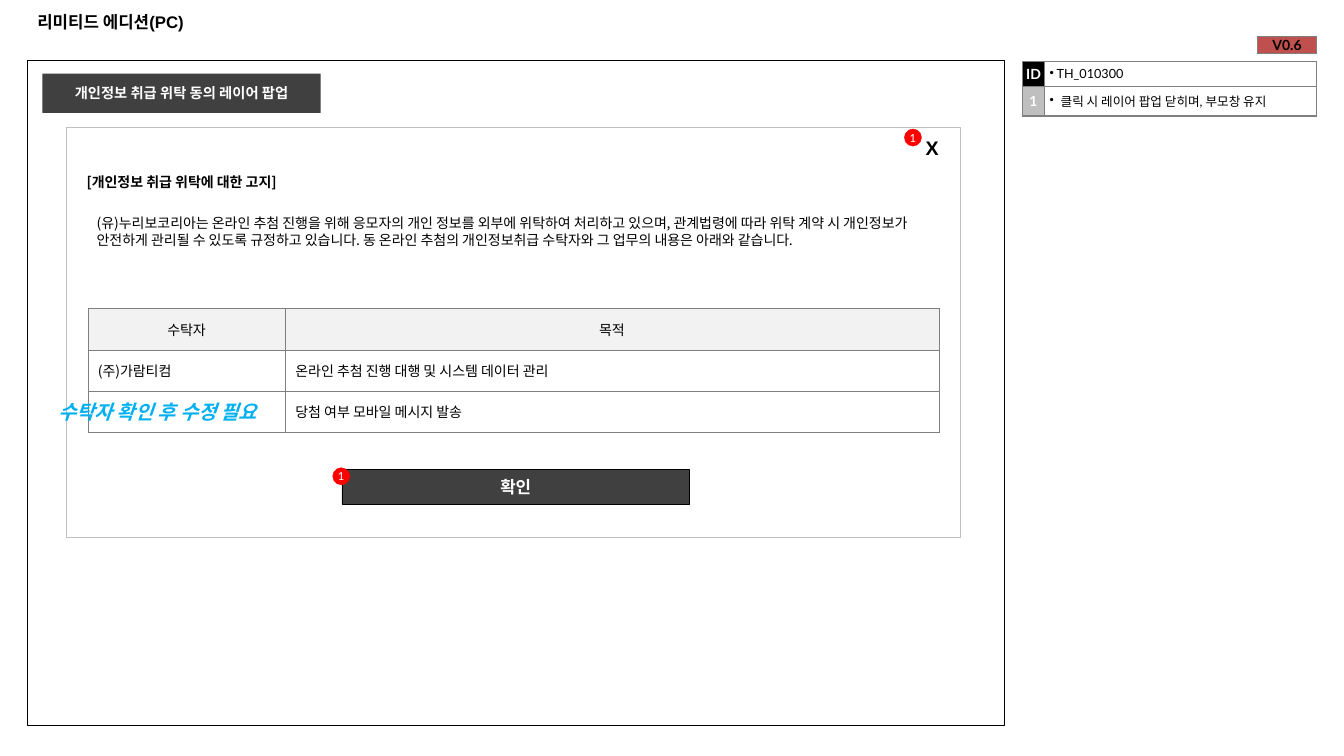
from lxml import etree
from pptx import Presentation
from pptx import util as u
from pptx.dml.color import RGBColor
from pptx.enum import shapes, text
from pptx.oxml import ns

BLACK = RGBColor(0x00, 0x00, 0x00)
WHITE = RGBColor(0xFF, 0xFF, 0xFF)
DARK = RGBColor(0x40, 0x40, 0x40)
GREY = RGBColor(0x7F, 0x7F, 0x7F)
SILVER = RGBColor(0xBF, 0xBF, 0xBF)
PALE = RGBColor(0xF2, 0xF2, 0xF2)
RED = RGBColor(0xFF, 0x00, 0x00)
BRICK = RGBColor(0xC0, 0x50, 0x4D)
SKY = RGBColor(0x00, 0xB0, 0xF0)

KOREAN = "Noto Sans CJK KR"
CENTER = text.PP_ALIGN.CENTER
MIDDLE = text.MSO_ANCHOR.MIDDLE
RECT = shapes.MSO_SHAPE.RECTANGLE
OVAL = shapes.MSO_SHAPE.OVAL


def inches(values):
    """Turn plain numbers into lengths."""
    return [u.Inches(value) for value in values]


def set_margins(owner, margin):
    """Give a text frame or cell the same margin on every side."""
    for side in ("left", "right", "top", "bottom"):
        setattr(owner, f"margin_{side}", u.Inches(margin))


def write(frame, words, size, color=BLACK, align=None, spacing=None, face=KOREAN, **formats):
    """Put one formatted paragraph in a text frame and return it."""
    para = frame.paragraphs[0]
    for name, value in {"alignment": align, "line_spacing": spacing}.items():
        setattr(para, name, value)
    span = para.add_run()
    span.text = words
    for name, value in {"name": face, "size": u.Pt(size), **formats}.items():
        setattr(span.font, name, value)
    span.font.color.rgb = color
    east = etree.SubElement(span.font._element, ns.qn("a:ea"))
    east.set("typeface", KOREAN)
    return para


def add_box(page, place, kind=RECT, fill=None, line=None, width=0.25):
    """Add a preset shape with a plain fill and outline."""
    box = page.shapes.add_shape(kind, *inches(place))
    box.shadow.inherit = False
    if fill is None:
        box.fill.background()
    else:
        box.fill.solid()
        box.fill.fore_color.rgb = fill
    if line is None:
        box.line.fill.background()
    else:
        box.line.color.rgb = line
        box.line.width = u.Pt(width)
    return box


def add_label(page, place, words, size, fill, kind=RECT, line=None, margin=0.05, **formats):
    """Add a filled shape with centred white text."""
    box = add_box(page, place, kind, fill, line)
    set_margins(box.text_frame, margin)
    box.text_frame.vertical_anchor = MIDDLE
    write(box.text_frame, words, size, WHITE, CENTER, **formats)


def add_badge(page, left, top):
    """Add the red marker that refers to description 1."""
    add_label(page, (left, top, 0.17, 0.17), "1", 8, RED, OVAL, RED, 0, face="Lato")


def add_text(page, place, words, size, wrap=True, **formats):
    """Add a text box."""
    frame = page.shapes.add_textbox(*inches(place)).text_frame
    frame.word_wrap = wrap
    write(frame, words, size, **formats)


def set_borders(cell, width):
    """Draw grey lines on all four sides of a cell."""
    props = cell._tc.get_or_add_tcPr()
    for index, side in enumerate(("lnL", "lnR", "lnT", "lnB")):
        line = etree.Element(ns.qn(f"a:{side}"), w=str(u.Pt(width)))
        fill = etree.SubElement(line, ns.qn("a:solidFill"))
        etree.SubElement(fill, ns.qn("a:srgbClr"), val=str(GREY))
        props.insert(index, line)


def add_grid(page, left, top, columns, rows, border):
    """Add a plain bordered table and return it."""
    place = inches((left, top, sum(columns), sum(rows)))
    grid = page.shapes.add_table(len(rows), len(columns), *place).table
    grid.first_row = grid.horz_banding = False
    for column, width in zip(grid.columns, columns):
        column.width = u.Inches(width)
    for row, height in zip(grid.rows, rows):
        row.height = u.Inches(height)
    for cell in grid.iter_cells():
        set_borders(cell, border)
    return grid


def fill_cell(cell, words, size, fill=WHITE, margin=None, **formats):
    """Colour a cell and write its text."""
    cell.fill.solid()
    cell.fill.fore_color.rgb = fill
    cell.vertical_anchor = MIDDLE
    if margin is not None:
        set_margins(cell, margin)
    if not words:
        cell.text_frame.paragraphs[0].font.size = u.Pt(size)
        return None
    return write(cell.text_frame, words, size, **formats)


def add_bullet(para, indent):
    """Give a paragraph a hanging round bullet."""
    props = para._p.get_or_add_pPr()
    props.set("marL", str(u.Inches(indent)))
    props.set("indent", str(-u.Inches(indent)))
    etree.SubElement(props, ns.qn("a:buChar"), char="•")


def add_title(page, words):
    """Place and format the title placeholder."""
    title = page.shapes.title
    for name, value in zip(("left", "top", "width", "height"), inches((0.27, 0.07, 12.79, 0.39))):
        setattr(title, name, value)
    title.text_frame.vertical_anchor = text.MSO_ANCHOR.TOP
    write(title.text_frame, words, 12, align=text.PP_ALIGN.LEFT, face="Arial", bold=True)


def add_descriptions(page):
    """Add the version tag and the numbered descriptions."""
    head = {"size": 10, "margin": 0, "align": CENTER, "face": "Lato", "bold": True}
    notes = [("ID", BLACK, "TH_010300", 0.07),
             ("1", SILVER, "클릭 시 레이어 팝업 닫히며, 부모창 유지", 0.11)]
    grid = add_grid(page, 10.14, 0.61, (0.22, 2.7), (0.25, 0.29), 1)
    for row, (mark, fill, words, indent) in enumerate(notes):
        fill_cell(grid.cell(row, 0), mark, fill=fill, color=WHITE, **head)
        para = fill_cell(grid.cell(row, 1), words, 9, margin=0.05, face="Lato")
        add_bullet(para, indent)
    version = add_grid(page, 12.47, 0.36, (0.59,), (0.17,), 1)
    fill_cell(version.cell(0, 0), "V0.6", fill=BRICK, **head)


def add_trustees(page):
    """Add the table of trustees and purposes."""
    rows = [("수탁자", "목적"),
            ("(주)가람티컴", "온라인 추첨 진행 대행 및 시스템 데이터 관리"),
            ("", "당첨 여부 모바일 메시지 발송")]
    grid = add_grid(page, 0.87, 3.06, (1.96, 6.48), [0.41] * len(rows), 0.25)
    for row, line in enumerate(rows):
        look = {} if row else {"fill": PALE, "align": CENTER}
        for column, words in enumerate(line):
            fill_cell(grid.cell(row, column), words, 10, **look)


def main():
    """Build the slide."""
    deck = Presentation()
    deck.slide_width, deck.slide_height = inches((13.33, 7.5))
    page = deck.slides.add_slide(deck.slide_layouts[5])
    add_box(page, (0.27, 0.6, 9.69, 6.6), line=BLACK, width=0.75)
    add_title(page, "리미티드 에디션(PC)")
    add_descriptions(page)
    add_label(page, (0.42, 0.73, 2.76, 0.39), "개인정보 취급 위탁 동의 레이어 팝업", 10.2, DARK,
              face="Arial", bold=True)
    add_box(page, (0.66, 1.26, 8.86, 4.07), fill=WHITE, line=SILVER)
    add_text(page, (8.98, 1.3, 0.53, 0.34), "X", 14, align=CENTER, face="Arial", bold=True)
    add_text(page, (0.76, 1.67, 2.35, 0.27), "[개인정보 취급 위탁에 대한 고지]", 10, wrap=False,
             spacing=u.Pt(12), bold=True)
    add_text(page, (0.86, 2.08, 8.45, 0.61),
             "(유)누리보코리아는 온라인 추첨 진행을 위해 응모자의 개인 정보를 외부에 위탁하여 "
             "처리하고 있으며, 관계법령에 따라 위탁 계약 시 개인정보가 안전하게 관리될 수 있도록 "
             "규정하고 있습니다. 동 온라인 추첨의 개인정보취급 수탁자와 그 업무의 내용은 "
             "아래와 같습니다.", 10, spacing=u.Pt(12))
    add_trustees(page)
    add_badge(page, 8.97, 1.28)
    add_label(page, (3.39, 4.66, 3.45, 0.34), "확인", 12, DARK, line=BLACK, margin=0.04,
              face="Lato", bold=True)
    add_badge(page, 3.3, 4.64)
    add_text(page, (0.48, 3.92, 2.42, 0.34), "수탁자 확인 후 수정 필요", 14, wrap=False,
             color=SKY, spacing=u.Pt(17), bold=True, italic=True)
    deck.save("out.pptx")


main()
